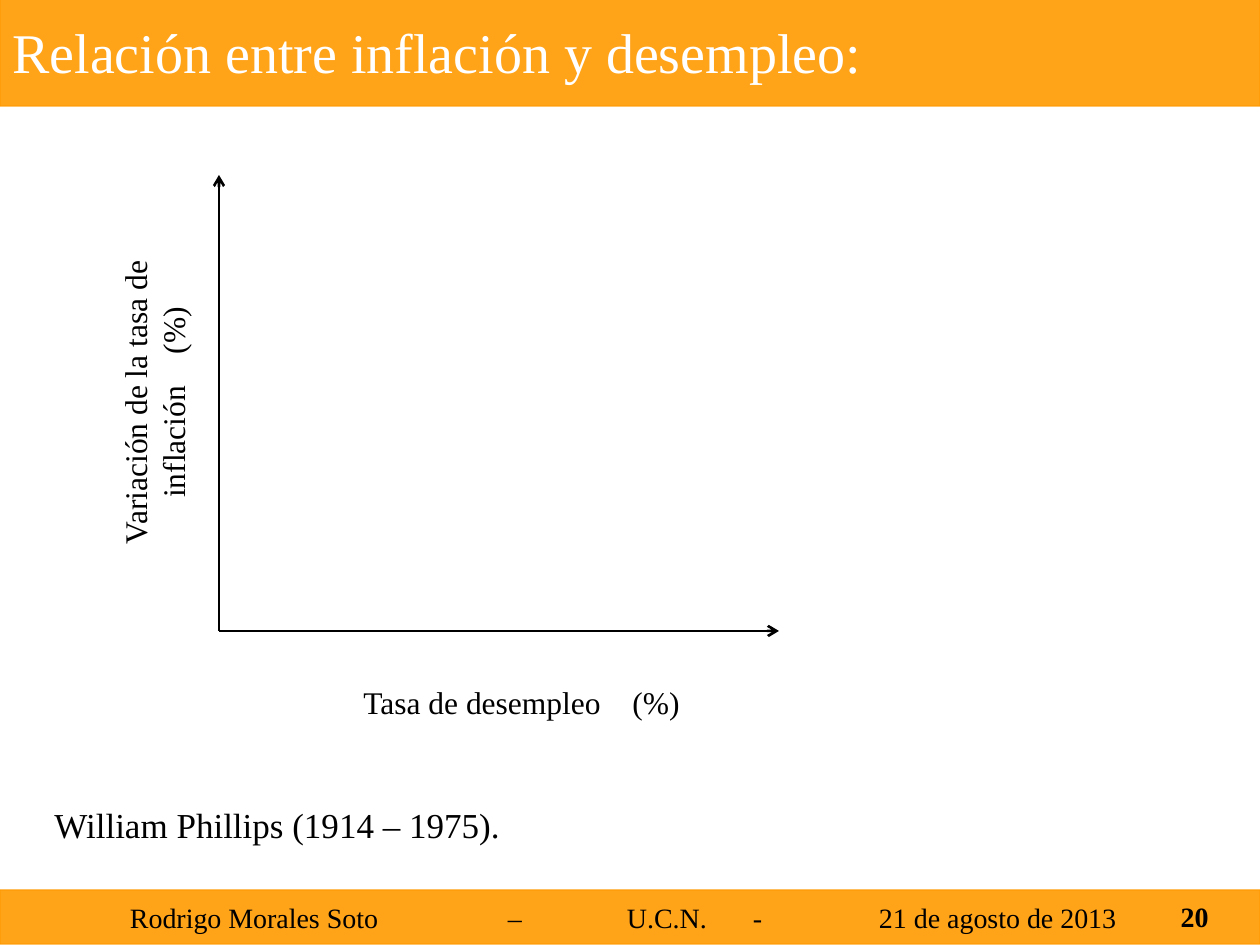
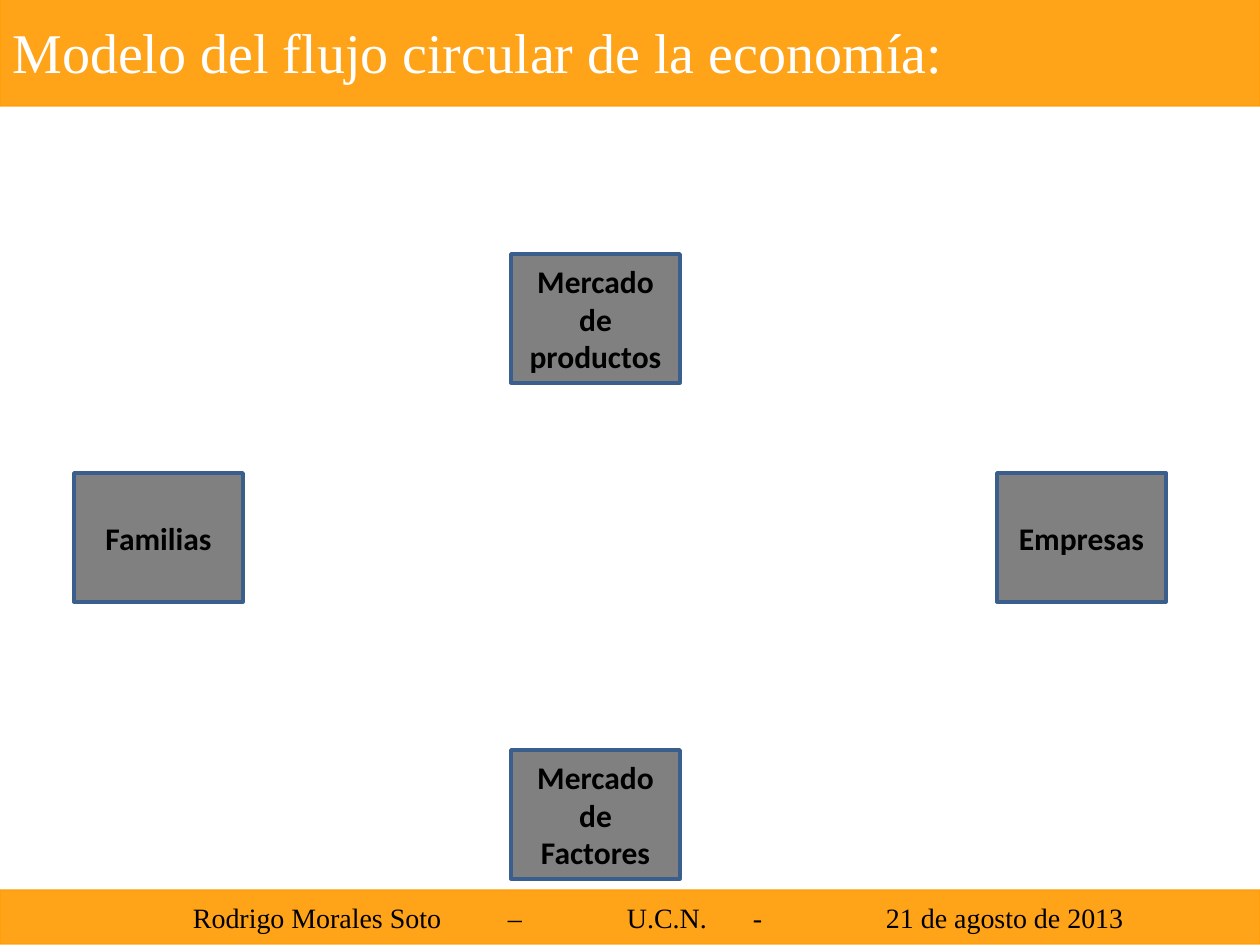
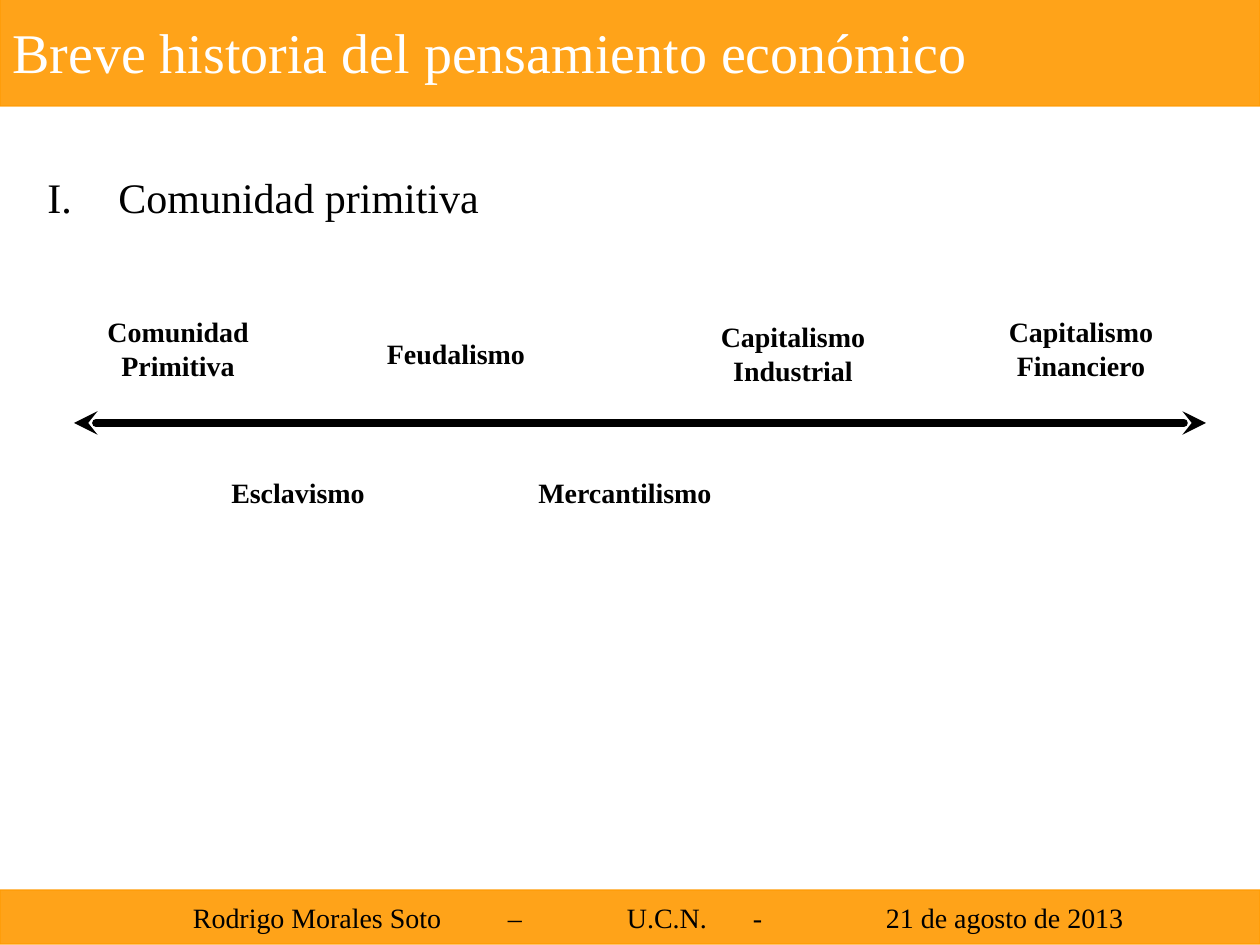
from pptx import Presentation
from pptx import util as u
from pptx.dml.color import RGBColor
from pptx.enum import shapes, text
from pptx.oxml import ns
from lxml import etree

SCALE = 914400 // 126
WIDTH, HEIGHT = 1260, 945
CENTER, LEFT = text.PP_ALIGN.CENTER, text.PP_ALIGN.LEFT
RIGHT, JUSTIFY = text.PP_ALIGN.RIGHT, text.PP_ALIGN.JUSTIFY
MIDDLE, TOP = text.MSO_ANCHOR.MIDDLE, text.MSO_ANCHOR.TOP


def px(length):
    return u.Emu(length * SCALE)


def color(code):
    return RGBColor.from_string(code)


def child(parent, tag, **attributes):
    return etree.SubElement(parent, ns.qn(tag), attributes)


class Deck:
    ORANGE, GRAY, BLUE = "FF9900", "808080", "3A5F8C"
    BLACK, WHITE = "000000", "FFFFFF"
    SERIF, SANS = "Times New Roman", "Calibri"

    def __init__(self):
        self.show = Presentation()
        self.show.slide_width, self.show.slide_height = px(WIDTH), px(HEIGHT)
        self.slide = None

    def page(self, title, author_x, date_x):
        self.slide = self.show.slides.add_slide(self.show.slide_layouts[6])
        self.footer(author_x, date_x)
        heading = self.band(-4, 110)
        self.fill_text(heading, [title], 32, JUSTIFY, ink=self.WHITE)

    def rect(self, x, y, w, h, fill, line, weight):
        box = self.slide.shapes.add_shape(
            shapes.MSO_SHAPE.RECTANGLE, px(x), px(y), px(w), px(h))
        box.shadow.inherit = False
        box.fill.solid()
        box.fill.fore_color.rgb = color(fill)
        box.line.color.rgb = color(line)
        box.line.width = u.Pt(weight)
        return box

    def band(self, y, h):
        strip = self.rect(0, y, WIDTH, h, self.ORANGE, self.ORANGE, 0.75)
        for paint in strip._element.spPr.iter(ns.qn("a:srgbClr")):
            child(paint, "a:alpha", val="90000")
        return strip

    def footer(self, author_x, date_x):
        strip = self.band(890, 54)
        credit = self.fill_text(
            strip, ["Rodrigo Morales Soto\t–\tU.C.N.\t-\t21 de agosto de 2013"], 16, LEFT)
        strip.text_frame.margin_left = px(author_x)
        stops = child(credit._p.get_or_add_pPr(), "a:tabLst")
        for x in (508, 627, 753, date_x):
            child(stops, "a:tab", pos=str(px(x - author_x)), algn="l")

    def fill_text(self, holder, runs, size, align, font=SERIF, ink=BLACK,
                  bold=False, anchor=MIDDLE):
        frame = holder.text_frame
        frame.word_wrap = True
        frame.vertical_anchor = anchor
        line = frame.paragraphs[0]
        line.alignment = align
        for words in runs:
            run = line.add_run()
            run.text = words
            run.font.size, run.font.name, run.font.bold = u.Pt(size), font, bold
            run.font.color.rgb = color(ink)
        return line

    def label(self, x, y, w, h, words, size, align=CENTER, **style):
        holder = self.slide.shapes.add_textbox(px(x), px(y), px(w), px(h))
        self.fill_text(holder, [words], size, align, **style)

    def axis_name(self, x, y, words, turn=0):
        holder = self.slide.shapes.add_textbox(px(x), px(y), px(357), px(79))
        holder.rotation = turn
        line = self.fill_text(holder, [words, " ", "(%)"], 18, CENTER)
        line.runs[1]._r.get_or_add_rPr().set("spc", "1350")

    def numbered(self, x, y, w, h, words, size):
        holder = self.slide.shapes.add_textbox(px(x), px(y), px(w), px(h))
        item = self.fill_text(holder, [words], size, JUSTIFY, anchor=TOP)
        layout = item._p.get_or_add_pPr()
        layout.set("marL", str(px(71)))
        layout.set("indent", str(px(-71)))
        child(layout, "a:buFont", typeface="+mj-lt")
        child(layout, "a:buAutoNum", type="romanUcPeriod")

    def node(self, x, y, words):
        box = self.rect(x, y, 169, 129, self.GRAY, self.BLUE, 2)
        self.fill_text(box, [words], 18, CENTER, font=self.SANS, bold=True)

    def arrow(self, start, end, weight, tail, head=None, cap="flat"):
        link = self.slide.shapes.add_connector(
            shapes.MSO_CONNECTOR.STRAIGHT, *map(px, start + end))
        link.line.color.rgb = color(self.BLACK)
        link.line.width = u.Pt(weight)
        stroke = link._element.spPr.find(ns.qn("a:ln"))
        stroke.set("cap", cap)
        if head:
            child(stroke, "a:headEnd", type=head)
        child(stroke, "a:tailEnd", type=tail)
        child(link._element.spPr, "a:effectLst")


deck = Deck()

deck.page("Relación entre inflación y desempleo:", 130, 879)
deck.label(927, 891, 294, 50, "20", 16, RIGHT, bold=True)
origin = (219, 631)
for tip in ((219, 175), (779, 631)):
    deck.arrow(origin, tip, 1.5, "arrow")
deck.axis_name(343, 662, "Tasa de desempleo")
deck.axis_name(-25, 363, "Variación de la tasa de inflación", 270)
deck.label(42, 799, 1191, 52, "William Phillips (1914 – 1975).", 20, JUSTIFY)

deck.page("Modelo del flujo circular de la economía:", 193, 886)
for x, y, agent in (
        (74, 473, "Familias"), (997, 473, "Empresas"),
        (511, 750, "Mercado de Factores"), (511, 254, "Mercado de productos")):
    deck.node(x, y, agent)

deck.page("Breve historia del pensamiento económico", 193, 886)
deck.numbered(35, 165, 1191, 70, "Comunidad primitiva", 24)
deck.arrow((74, 423), (1206, 423), 4.5, "stealth", "stealth", "rnd")
for x, y, era in (
        (54, 319, "Comunidad Primitiva"), (174, 463, "Esclavismo"),
        (332, 324, "Feudalismo"), (501, 463, "Mercantilismo"),
        (669, 324, "Capitalismo Industrial"), (957, 319, "Capitalismo Financiero")):
    deck.label(x, y, 248, 59, era, 16, bold=True)

deck.show.save("out.pptx")
